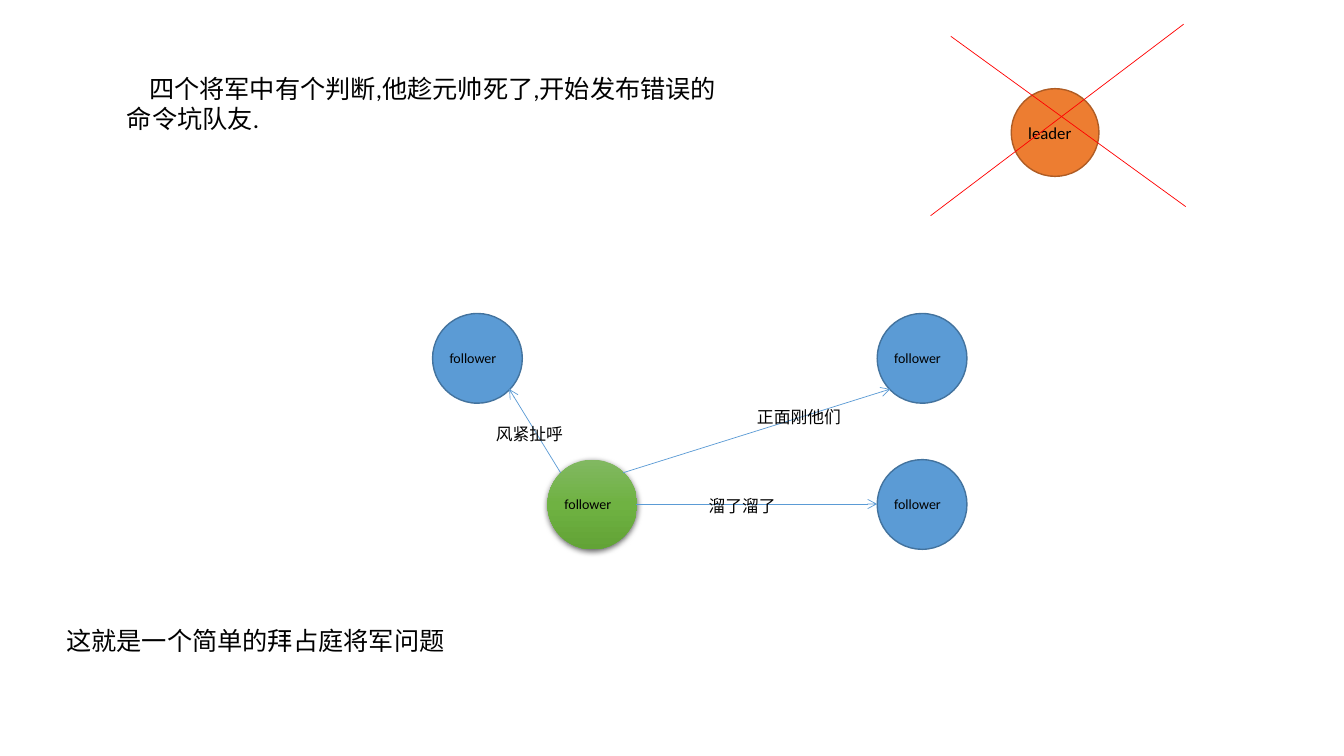
from dataclasses import dataclass
from typing import Optional

from lxml.etree import SubElement
from pptx import Presentation
from pptx.dml.color import RGBColor
from pptx.enum.shapes import MSO_CONNECTOR, MSO_SHAPE
from pptx.enum.text import MSO_AUTO_SIZE
from pptx.oxml.ns import qn
from pptx.util import Inches, Pt

BLACK = RGBColor(0x00, 0x00, 0x00)
RED = RGBColor(0xFF, 0x00, 0x00)
BLUE = RGBColor(0x5B, 0x9B, 0xD5)
DARK_BLUE = RGBColor(0x43, 0x73, 0x9E)
ORANGE = RGBColor(0xED, 0x7D, 0x31)
DARK_ORANGE = RGBColor(0xAF, 0x5C, 0x24)
LIGHT_GREEN = RGBColor(0x81, 0xB8, 0x61)
GREEN = RGBColor(0x6F, 0xB2, 0x42)
DARK_GREEN = RGBColor(0x62, 0xA3, 0x36)
FONT_NAME = "Calibri"


@dataclass(frozen=True)
class General:
    role: str
    left: float
    top: float
    diameter: float = 0.89
    fill: RGBColor = BLUE
    outline: RGBColor = DARK_BLUE
    size: int = 10
    label_top: float = 0.31
    label_width: float = 0.75
    label_height: float = 0.27
    traitor: bool = False


@dataclass(frozen=True)
class Stroke:
    start: tuple[float, float]
    end: tuple[float, float]
    color: RGBColor = BLUE
    arrow: bool = True


@dataclass(frozen=True)
class Caption:
    text: str
    left: float
    top: float
    width: float
    height: float = 0.3
    size: int = 12
    wrap: bool = False
    indent: float = 0


GENERALS = [
    General("follower", 4.29, 3.11),
    General("follower", 5.43, 4.56, traitor=True),
    General("follower", 8.7, 4.56),
    General("follower", 8.7, 3.11),
    General("leader", 10.03, 0.88, diameter=0.87, fill=ORANGE, outline=DARK_ORANGE,
            size=12, label_top=0.29, label_width=0.73, label_height=0.3),
]
STROKES = [
    Stroke((11.74, 0.24), (9.23, 2.14), RED, arrow=False),
    Stroke((9.43, 0.36), (11.76, 2.05), RED, arrow=False),
    Stroke((5.56, 4.69), (5.05, 3.86)),
    Stroke((6.31, 5), (8.7, 5)),
    Stroke((6.18, 4.69), (8.83, 3.86)),
]
CAPTIONS = [
    Caption("风紧扯呼", 4.82, 4.15, 0.87),
    Caption("正面刚他们", 7.41, 3.99, 1.03),
    Caption("溜了溜了", 6.93, 4.87, 0.87),
    Caption("四个将军中有个判断,他趁元帅死了,开始发布错误的命令坑队友.",
            1.16, 0.68, 6.25, 0.71, size=18, wrap=True, indent=0.22),
    Caption("这就是一个简单的拜占庭将军问题", 0.56, 6.15, 5.53, 0.4, size=18, wrap=True),
]


def add_text(shapes, text: str, *, left: float, top: float, width: float, height: float,
             size: int, wrap: bool = False, indent: float = 0,
             color: RGBColor = BLACK) -> None:
    box = shapes.add_textbox(Inches(left), Inches(top), Inches(width), Inches(height))
    frame = box.text_frame
    frame.word_wrap = wrap
    frame.auto_size = MSO_AUTO_SIZE.SHAPE_TO_FIT_TEXT
    para = frame.paragraphs[0]
    if indent:
        para._p.get_or_add_pPr().set("indent", str(Inches(indent)))
    span = para.add_run()
    span.text = text
    span.font.name = FONT_NAME
    span.font.size = Pt(size)
    span.font.color.rgb = color


def add_color(parent, color: RGBColor):
    return SubElement(parent, qn("a:srgbClr"), val=str(color))


def style_traitor(circle) -> None:
    circle.fill.gradient()
    circle.fill.gradient_angle = 270
    properties = circle._element.spPr
    stops = properties.find(qn("a:gradFill")).find(qn("a:gsLst"))
    for stop in list(stops):
        stops.remove(stop)
    for percent, color in ((0, LIGHT_GREEN), (50, GREEN), (100, DARK_GREEN)):
        add_color(SubElement(stops, qn("a:gs"), pos=str(percent * 1000)), color)
    circle.line.fill.background()
    shadow = SubElement(properties.find(qn("a:effectLst")), qn("a:outerShdw"),
                        blurRad=str(Pt(4.5)), dist=str(Pt(1.5)), dir="5400000",
                        algn="ctr", rotWithShape="0")
    SubElement(add_color(shadow, BLACK), qn("a:alpha"), val="63000")


def add_general(page, general: General) -> None:
    group = page.shapes.add_group_shape()
    circle = group.shapes.add_shape(
        MSO_SHAPE.OVAL, Inches(general.left), Inches(general.top),
        Inches(general.diameter), Inches(general.diameter))
    circle.shadow.inherit = False
    if general.traitor:
        style_traitor(circle)
    else:
        circle.fill.solid()
        circle.fill.fore_color.rgb = general.fill
        circle.line.color.rgb = general.outline
        circle.line.width = Pt(1)
    add_text(group.shapes, general.role, left=general.left + 0.07,
             top=general.top + general.label_top, width=general.label_width,
             height=general.label_height, size=general.size)


def add_stroke(page, stroke: Stroke) -> None:
    ends = [Inches(value) for value in (*stroke.start, *stroke.end)]
    connector = page.shapes.add_connector(MSO_CONNECTOR.STRAIGHT, *ends)
    connector.line.color.rgb = stroke.color
    connector.line.width = Pt(0.5)
    if stroke.arrow:
        SubElement(connector.line._get_or_add_ln(), qn("a:tailEnd"), type="arrow")
    SubElement(connector._element.spPr, qn("a:effectLst"))


def add_caption(page, caption: Caption) -> None:
    add_text(page.shapes, caption.text, left=caption.left, top=caption.top,
             width=caption.width, height=caption.height, size=caption.size,
             wrap=caption.wrap, indent=caption.indent)


def main(deck: Optional[object] = None) -> None:
    deck = deck or Presentation()
    deck.slide_width = Inches(13.33)
    deck.slide_height = Inches(7.5)
    page = deck.slides.add_slide(deck.slide_layouts[6])
    for general in GENERALS:
        add_general(page, general)
    for stroke in STROKES:
        add_stroke(page, stroke)
    for caption in CAPTIONS:
        add_caption(page, caption)
    deck.save("out.pptx")


if __name__ == "__main__":
    main()
